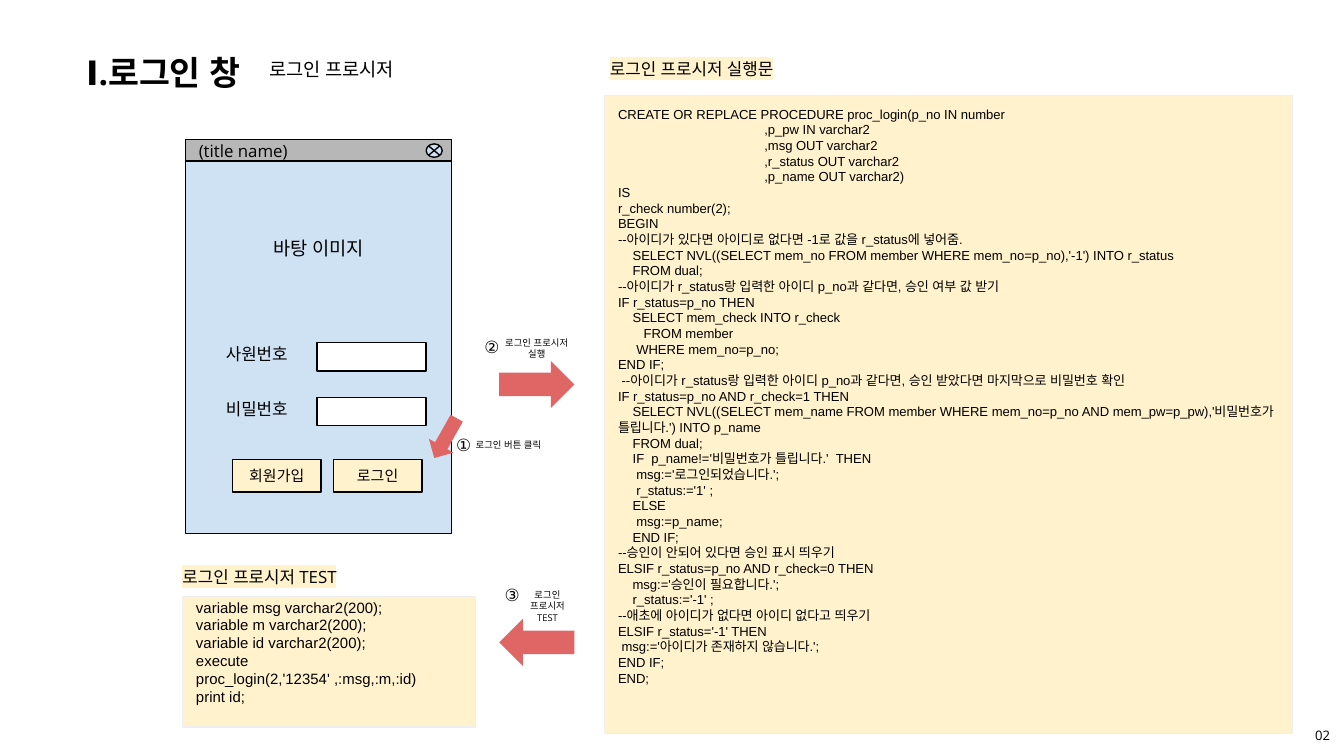
from dataclasses import dataclass

from lxml import etree
from pptx import Presentation
from pptx.dml.color import RGBColor
from pptx.enum.shapes import MSO_SHAPE
from pptx.enum.text import MSO_ANCHOR, PP_ALIGN
from pptx.oxml.ns import qn
from pptx.util import Pt

RECT = MSO_SHAPE.RECTANGLE
ARROW = MSO_SHAPE.DOWN_ARROW
CLOSE = MSO_SHAPE.FLOWCHART_SUMMING_JUNCTION
TOP, MIDDLE = MSO_ANCHOR.TOP, MSO_ANCHOR.MIDDLE
LEFT, CENTER = PP_ALIGN.LEFT, PP_ALIGN.CENTER


@dataclass(frozen=True)
class Theme:
    ink: str = "000000"
    white: str = "FFFFFF"
    cream: str = "FFF2CC"
    edge: str = "EFEFEF"
    sky: str = "CFE2F3"
    grey: str = "B7B7B7"
    red: str = "E06666"
    sans: str = "Open Sans"
    code: str = "Arial"
    title: int = 18
    subtitle: int = 10
    body: int = 9
    button: int = 8
    small: int = 7
    note: int = 5
    inset: float = 7.2


T = Theme()

SIGNATURE = """\
CREATE OR REPLACE PROCEDURE proc_login(p_no IN number
                                        ,p_pw IN varchar2
                                        ,msg OUT varchar2
                                        ,r_status OUT varchar2
                                        ,p_name OUT varchar2)
IS
r_check number(2);
BEGIN"""

LOOKUP = """\
--아이디가 있다면 아이디로 없다면 -1로 값을 r_status에 넣어줌.
    SELECT NVL((SELECT mem_no FROM member WHERE mem_no=p_no),'-1') INTO r_status
    FROM dual;
--아이디가 r_status랑 입력한 아이디 p_no과 같다면, 승인 여부 값 받기
IF r_status=p_no THEN
    SELECT mem_check INTO r_check
       FROM member
     WHERE mem_no=p_no;
END IF;"""

PASSWORD = """\
 --아이디가 r_status랑 입력한 아이디 p_no과 같다면, 승인 받았다면 마지막으로 비밀번호 확인
IF r_status=p_no AND r_check=1 THEN
    SELECT NVL((SELECT mem_name FROM member WHERE mem_no=p_no AND mem_pw=p_pw),'비밀번호가 틀립니다.') INTO p_name
    FROM dual;
    IF  p_name!='비밀번호가 틀립니다.'  THEN
     msg:='로그인되었습니다.';
     r_status:='1' ;
    ELSE
     msg:=p_name;
    END IF;"""

REJECTION = """\
--승인이 안되어 있다면 승인 표시 띄우기
ELSIF r_status=p_no AND r_check=0 THEN
    msg:='승인이 필요합니다.';
    r_status:='-1' ;
--애초에 아이디가 없다면 아이디 없다고 띄우기
ELSIF r_status='-1' THEN
 msg:='아이디가 존재하지 않습니다.';
END IF;
END;"""

PROCEDURE = "\n".join((SIGNATURE, LOOKUP, PASSWORD, REJECTION))

TEST = """\
variable msg varchar2(200);
variable m varchar2(200);
variable id varchar2(200);
execute proc_login(2,'12354' ,:msg,:m,:id)
print id;"""


def write(sp, text, size, font=T.sans, bold=False, align=CENTER, anchor=MIDDLE,
          highlight=None, pitch=None, top=T.inset):
    tf = sp.text_frame
    tf.word_wrap = True
    tf.vertical_anchor = anchor
    tf.margin_left = tf.margin_right = tf.margin_bottom = Pt(T.inset)
    tf.margin_top = Pt(top)
    for i, line in enumerate(text.split("\n")):
        p = tf.add_paragraph() if i else tf.paragraphs[0]
        p.alignment = align
        if pitch:
            p.line_spacing = Pt(pitch)
        words = line.lstrip()
        spaces = len(line) - len(words)
        if spaces:
            pPr = p._p.get_or_add_pPr()
            pPr.set("marL", "0")
            pPr.set("indent", str(Pt(spaces * size * 0.28)))
        r = p.add_run()
        r.text = words
        r.font.size = Pt(size)
        r.font.bold = bold
        r.font.color.rgb = RGBColor.from_string(T.ink)
        r.font.name = font
        latin = r._r.rPr.find(qn("a:latin"))
        ea = etree.Element(qn("a:ea"), typeface=font)
        latin.addnext(ea)
        if highlight:
            mark = etree.Element(qn("a:highlight"))
            etree.SubElement(mark, qn("a:srgbClr"), val=highlight)
            latin.addprevious(mark)


def label(shapes, x, y, w, h, text, size, **fmt):
    sp = shapes.add_textbox(Pt(x), Pt(y), Pt(w), Pt(h))
    write(sp, text, size, **fmt)


def block(shapes, x, y, w, h, fill, line=None, kind=RECT, rotation=0):
    sp = shapes.add_shape(kind, Pt(x), Pt(y), Pt(w), Pt(h))
    sp.shadow.inherit = False
    sp.rotation = rotation
    sp.fill.solid()
    sp.fill.fore_color.rgb = RGBColor.from_string(fill)
    if line:
        sp.line.color.rgb = RGBColor.from_string(line)
        sp.line.width = Pt(0.75)
    else:
        sp.line.fill.background()
    return sp


def header(shapes, x, y):
    label(shapes, x, y, 117.4, 29.5, "Ⅰ.로그인 창", T.title, bold=True)
    label(shapes, x + 102.2, y + 1.4, 92.9, 26.6, "로그인 프로시저", T.subtitle, anchor=TOP)


def listing(shapes, x, y, w, h, heading, offset, code, size, pitch, top):
    sp = block(shapes, x, y, w, h, T.cream, T.edge)
    write(sp, code, size, font=T.code, align=LEFT, anchor=TOP, pitch=pitch, top=top)
    dx, dy = offset
    label(shapes, x + dx, y + dy, 117.4, 25.2, heading, T.body,
          align=LEFT, anchor=TOP, highlight=T.cream)


def login_window(shapes, x, y, w, h):
    g = shapes.add_group_shape().shapes
    block(g, x, y, w, h, T.sky, T.ink)
    bar = block(g, x, y, w, 11.5, T.grey, T.ink)
    write(bar, "(title name)", T.body, align=LEFT)
    block(g, x + w - 13.7, y + 2.2, 8.6, 7.2, T.sky, T.ink, kind=CLOSE)
    label(g, x + 35.3, y + 47.5, 72, 20.9, "바탕 이미지", T.subtitle)
    for i, name in enumerate(("사원번호", "비밀번호")):
        row = y + 108.7 + i * 29.3
        block(g, x + 70.5, row, 58.3, 15.1, T.white, T.ink)
        label(g, x + 12.2, row - 5, 51.8, 25.2, name, T.body, anchor=TOP)
    for i, name in enumerate(("회원가입", "로그인")):
        sp = block(g, x + 25.2 + i * 54, y + 171.4, 47.5, 17.3, T.cream, T.ink)
        write(sp, name, T.button)


def step(shapes, x, y, w, h, rotation, number, number_at, note, note_at, note_w=55.4):
    block(shapes, x, y, w, h, T.red, kind=ARROW, rotation=rotation)
    label(shapes, x + number_at[0], y + number_at[1], 23, 15.8, number, T.body)
    label(shapes, x + note_at[0], y + note_at[1], note_w, 18.7, note, T.note)


def main():
    prs = Presentation()
    prs.slide_width, prs.slide_height = Pt(720), Pt(405)
    s = prs.slides.add_slide(prs.slide_layouts[6])
    shapes = s.shapes
    header(shapes, 28.8, 23.8)
    label(shapes, 697, 382.3, 23, 23, "02", T.small)
    listing(shapes, 324, 51.1, 368.6, 342, "로그인 프로시저 실행문", (-4.3, -25.2),
            PROCEDURE, T.small, 8.38, 5.8)
    listing(shapes, 97.9, 319.7, 157, 69.8, "로그인 프로시저 TEST", (-7.2, -21.6),
            TEST, T.button, 9.54, 0.9)
    login_window(shapes, 99.4, 74.9, 142.6, 211)
    step(shapes, 231.1, 222.5, 15.1, 24.5, 29.5, "①", (5.8, 7.9),
         "로그인 버튼 클릭", (13.7, 6.5))
    step(shapes, 275, 185.8, 25.2, 40.3, 270, "②", (-23, -8),
         "로그인 프로시저 실행", (-15.1, -8.7))
    step(shapes, 275, 324, 25.2, 40.3, 90, "③", (-12.2, -13),
         "로그인 프로시저 TEST", (0, -8.6), note_w=36.7)
    prs.save("out.pptx")


if __name__ == "__main__":
    main()
